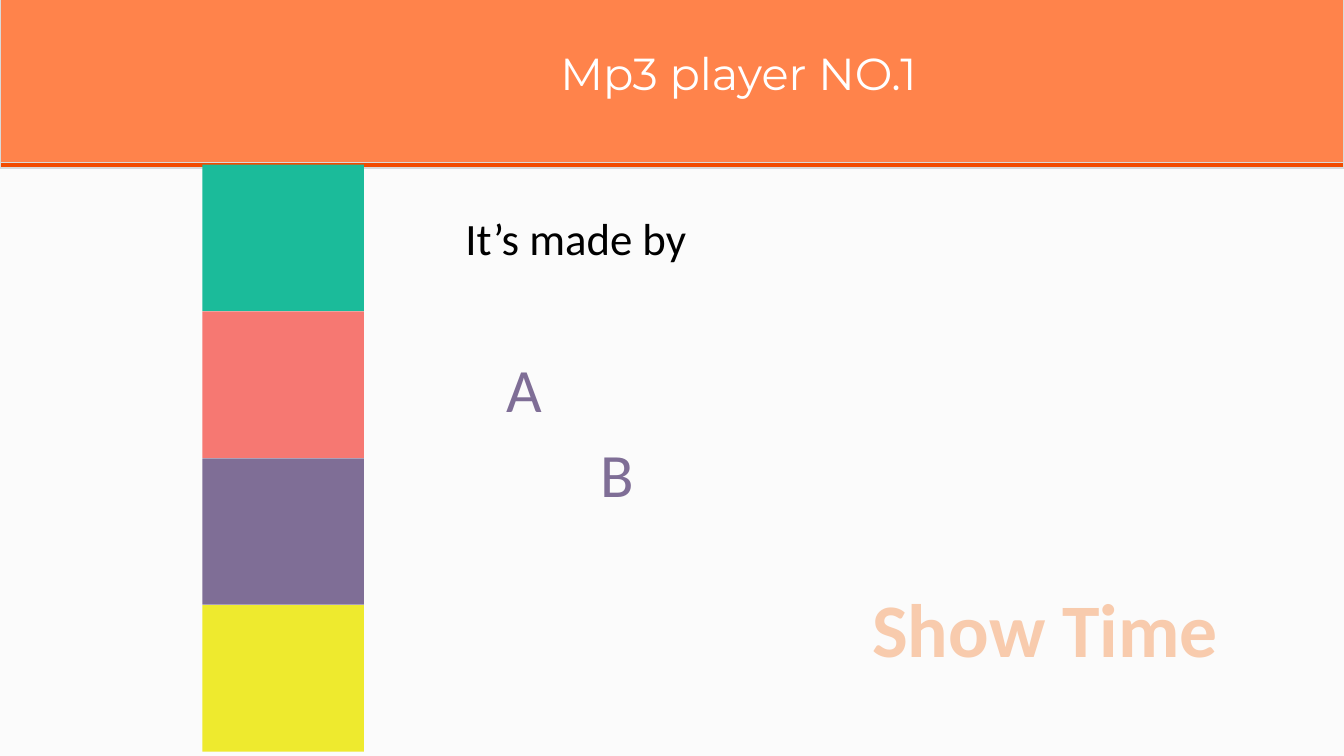
from lxml import etree
from pptx import Presentation
from pptx.dml.color import RGBColor
from pptx.enum.shapes import MSO_SHAPE
from pptx.enum.text import MSO_AUTO_SIZE, PP_ALIGN
from pptx.oxml import parse_xml
from pptx.util import Cm, Pt

RECTANGLE = MSO_SHAPE.RECTANGLE
GROW = MSO_AUTO_SIZE.SHAPE_TO_FIT_TEXT
LEFT = PP_ALIGN.LEFT
CENTER = PP_ALIGN.CENTER
DRAWING = "http://schemas.openxmlformats.org/drawingml/2006/main"
PURPLE = "7F6E96"

deck = Presentation()
deck.slide_width = Cm(33.87)
deck.slide_height = Cm(19.05)
page = deck.slides.add_slide(deck.slide_layouts[6])
page.background.fill.solid()
page.background.fill.fore_color.rgb = RGBColor.from_string("FBFBFB")


def add_block(left, top, width, height, color, border=None):
    block = page.shapes.add_shape(RECTANGLE, Cm(left), Cm(top), Cm(width), Cm(height))
    block.shadow.inherit = False
    block.fill.solid()
    block.fill.fore_color.rgb = RGBColor.from_string(color)
    if border:
        block.line.color.rgb = RGBColor.from_string(border)
        block.line.width = Pt(1)
    else:
        block.line.fill.background()


def add_text(text, left, top, width, height, size, color, font="Calibri",
             align=LEFT, bold=False, wrap=True):
    box = page.shapes.add_textbox(Cm(left), Cm(top), Cm(width), Cm(height))
    box.text_frame.word_wrap = wrap
    box.text_frame.auto_size = GROW
    para = box.text_frame.paragraphs[0]
    para.alignment = align
    span = para.add_run()
    span.text = text
    span.font.name = font
    span.font.size = Pt(size)
    span.font.bold = bold
    span.font.color.rgb = RGBColor.from_string(color)
    return span


add_block(0, 3.02, 33.87, 1.22, "F24B00", border="D9D9D9")
add_block(0, -0.08, 33.87, 4.17, "FF834B", border="D9D9D9")

for row, color in enumerate(["1BBB9A", "F67872", PURPLE, "EEEA2E"]):
    add_block(5.1, 4.15 + 3.7 * row, 4.07, 3.69, color)

add_text("Mp3 player NO.1", 13.23, 1.02, 10.77, 1.62, 32, "FFFFFF",
         font="Montserrat", align=CENTER)
add_text("It’s made by", 11.48, 5.18, 16.92, 1.62, 32, "000000")
add_text("A", 12.52, 8.71, 16.92, 2.14, 44, PURPLE)
add_text("B", 14.88, 10.85, 16.92, 2.14, 44, PURPLE)
show_time = add_text("Show Time", 21.69, 14.53, 9.3, 2.56, 54, "F8CBAD",
                     align=CENTER, bold=True, wrap=False)

outline = parse_xml(f'<a:ln xmlns:a="{DRAWING}" w="{Pt(1.75)}"/>')
fill = etree.SubElement(outline, f"{{{DRAWING}}}solidFill")
etree.SubElement(fill, f"{{{DRAWING}}}srgbClr", val="ED7D31")
show_time.font._element.insert(0, outline)

deck.save("out.pptx")
